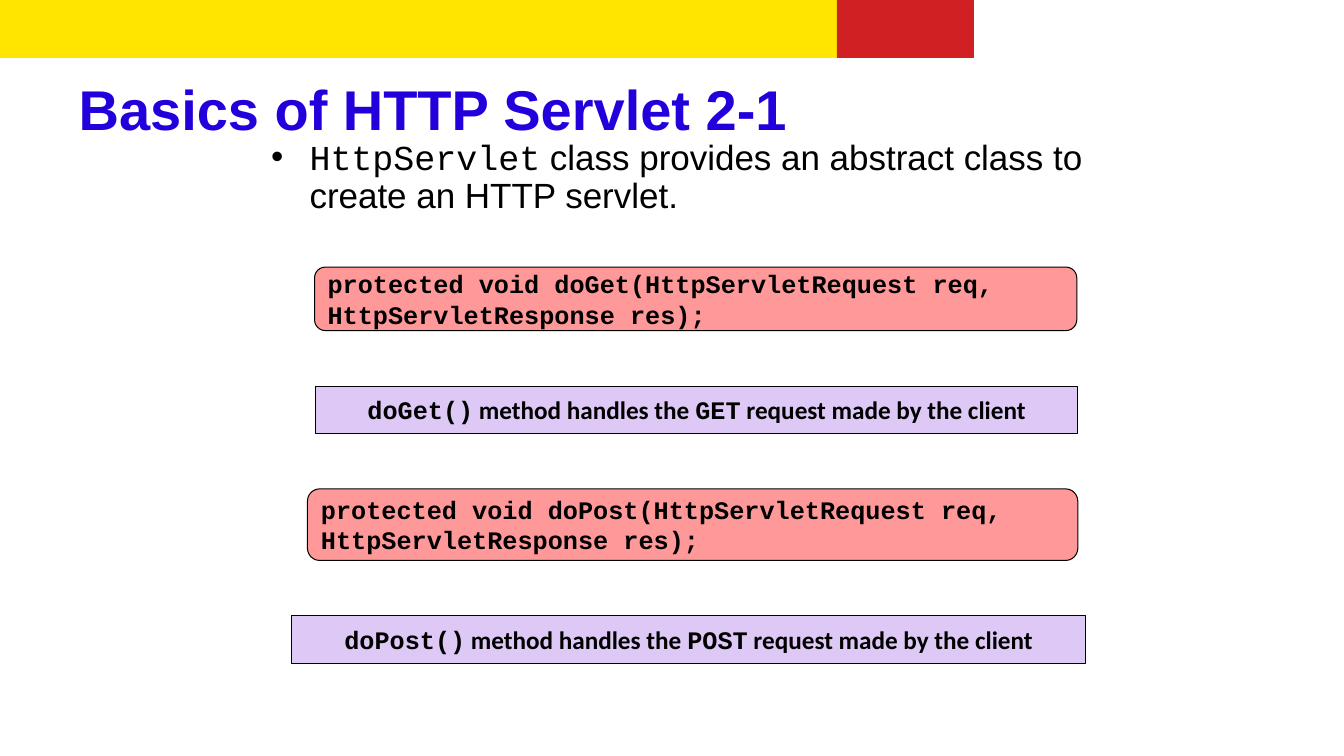
import pptx
import pptx.dml.color
import pptx.enum.shapes
import pptx.enum.text
import pptx.oxml
import pptx.oxml.ns
import pptx.util

Inches, Pt = pptx.util.Inches, pptx.util.Pt
SHAPES = pptx.enum.shapes.MSO_SHAPE
ALIGN = pptx.enum.text.PP_ALIGN
ANCHOR = pptx.enum.text.MSO_ANCHOR

COLORS = {
    "yellow": "FFE500",
    "red": "D12023",
    "title": "2200DC",
    "text": "000000",
    "code": "FF0000",
    "note": "DEC8F6",
}
CODE, SANS, NOTE = "Courier New", "Arial", "Calibri"


def rgb(name):
    return pptx.dml.color.RGBColor.from_string(COLORS[name])


class ServletSlide:
    title_font = {"size": Pt(40), "bold": True}
    body_font = {"size": Pt(25), "bold": False}
    box_font = {"size": Pt(18), "bold": True}
    box_frame = {"word_wrap": True, "vertical_anchor": ANCHOR.MIDDLE}
    no_margins = {f"margin_{side}": 0 for side in ("left", "top", "right", "bottom")}

    def __init__(self, deck):
        self.slide = deck.slides.add_slide(deck.slide_layouts[1])

    def apply(self, target, values):
        for name, value in values.items():
            setattr(target, name, value)

    def add_runs(self, paragraph, runs, style, color="text"):
        for text, font_name in runs:
            run = paragraph.add_run()
            run.text = text
            self.apply(run.font, {**style, "name": font_name})
            run.font.color.rgb = rgb(color)

    def place(self, placeholder, box, anchor):
        sides = ("left", "top", "width", "height")
        self.apply(placeholder, {side: Inches(v) for side, v in zip(sides, box)})
        frame = placeholder.text_frame
        self.apply(frame, {**self.no_margins, "word_wrap": True,
                           "vertical_anchor": anchor})
        return frame.paragraphs[0]

    def title(self, text, box):
        heading = self.place(self.slide.shapes.title, box, ANCHOR.BOTTOM)
        heading.alignment = ALIGN.LEFT
        self.add_runs(heading, [(text, SANS)], self.title_font, "title")

    def bullet(self, runs, box):
        item = self.place(self.slide.placeholders[1], box, ANCHOR.TOP)
        self.apply(item, {"line_spacing": 0.9, "space_before": Pt(0)})
        properties = item._p.get_or_add_pPr()
        indent = Inches(0.38)
        properties.set("marL", str(indent))
        properties.set("indent", str(-indent))
        mark = pptx.oxml.parse_xml(
            f'<a:buChar {pptx.oxml.ns.nsdecls("a")} char="•"/>')
        properties.append(mark)
        self.add_runs(item, runs, self.body_font)

    def block(self, kind, box, fill, line, width):
        block = self.slide.shapes.add_shape(kind, *map(Inches, box))
        block.shadow.inherit = False
        block.fill.solid()
        block.fill.fore_color.rgb = rgb(fill)
        block.line.color.rgb = rgb(line)
        block.line.width = Pt(width)
        return block

    def band(self, left, width, color):
        self.block(SHAPES.RECTANGLE, (left, 0, width, 0.57), color, color, 0.25)

    def fill_text(self, block, lines, alignment):
        frame = block.text_frame
        self.apply(frame, self.box_frame)
        for number, runs in enumerate(lines):
            paragraph = frame.add_paragraph() if number else frame.paragraphs[0]
            paragraph.alignment = alignment
            self.add_runs(paragraph, runs, self.box_font)

    def signature(self, method, box):
        code = self.block(SHAPES.ROUNDED_RECTANGLE, box, "code", "text", 0.75)
        code.adjustments[0] = 0.17
        # 40 % opaque fill
        color = code.element.spPr.find(".//" + pptx.oxml.ns.qn("a:srgbClr"))
        color.append(pptx.oxml.parse_xml(
            f'<a:alpha {pptx.oxml.ns.nsdecls("a")} val="40000"/>'))
        lines = [f"protected void {method}(HttpServletRequest req,",
                 "HttpServletResponse res);"]
        self.fill_text(code, [[(line, CODE)] for line in lines], ALIGN.LEFT)

    def note(self, method, request, box):
        note = self.block(SHAPES.RECTANGLE, box, "note", "text", 0.75)
        runs = [(f"{method}()", CODE), (" method handles the ", NOTE),
                (request, CODE), (" request made by the client", NOTE)]
        self.fill_text(note, [runs], ALIGN.CENTER)


def main():
    deck = pptx.Presentation()
    deck.slide_width, deck.slide_height = Inches(13.33), Inches(7.5)
    servlet = ServletSlide(deck)

    # Top bands
    servlet.band(0, 8.3, "yellow")
    servlet.band(8.3, 1.35, "red")

    # Title and introduction
    servlet.title("Basics of HTTP Servlet 2-1", (0.78, 0.74, 11.77, 0.67))
    servlet.bullet(
        [("HttpServlet", CODE),
         (" class provides an abstract class to create an HTTP servlet.", SANS)],
        (2.69, 1.39, 8.78, 0.76))

    # Each method's signature and explanation
    methods = [
        ("doGet", "GET", (3.12, 2.65, 7.56, 0.63), (3.13, 3.83, 7.56, 0.47)),
        ("doPost", "POST", (3.05, 4.85, 7.64, 0.71), (2.89, 6.11, 7.88, 0.47)),
    ]
    for method, request, code_box, note_box in methods:
        servlet.signature(method, code_box)
        servlet.note(method, request, note_box)

    deck.save("out.pptx")


if __name__ == "__main__":
    main()
